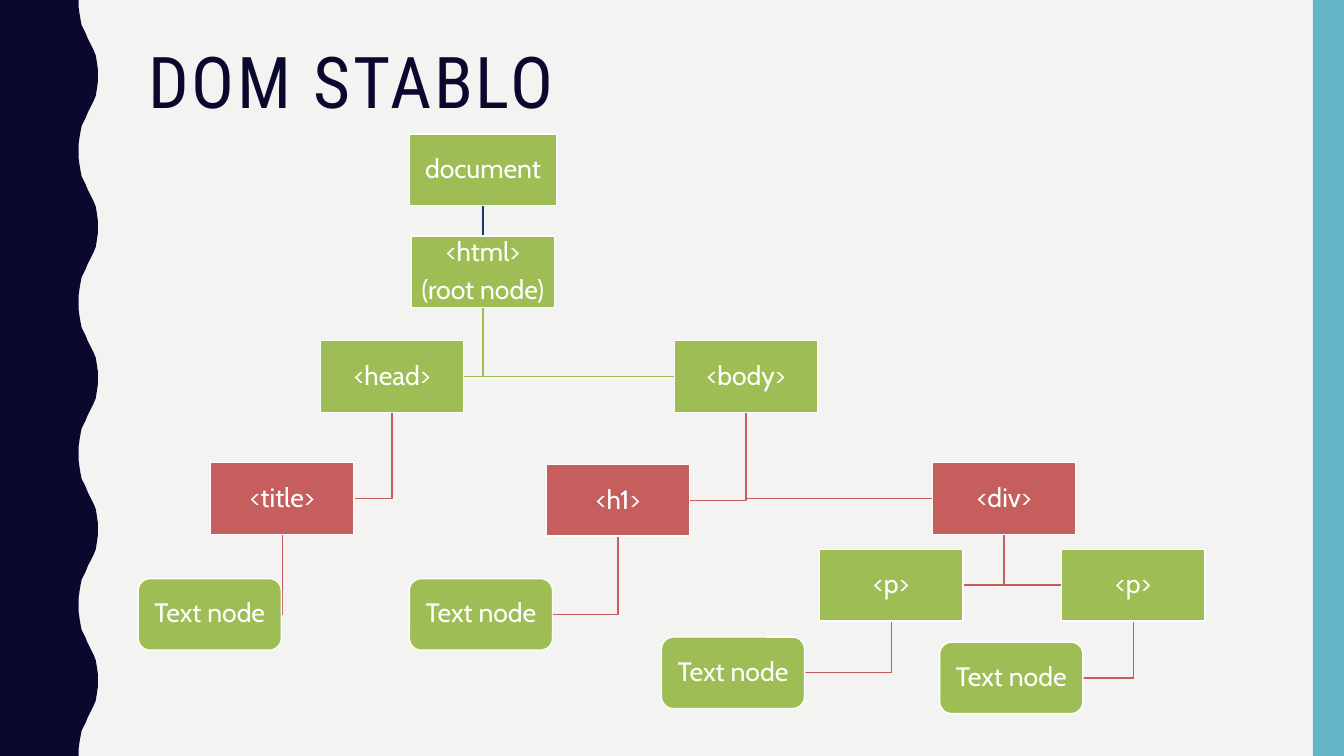
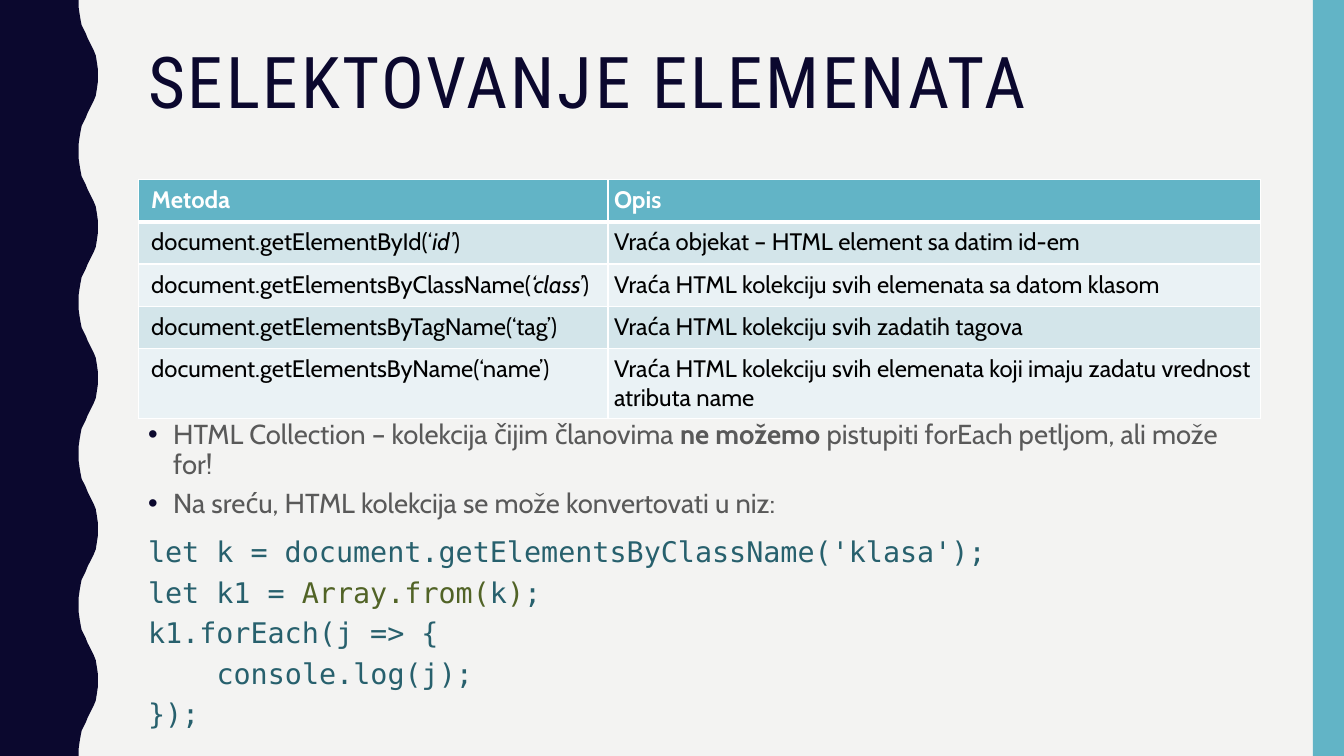
from lxml import etree
from pptx import Presentation
from pptx.dml.color import RGBColor
from pptx.enum.shapes import MSO_CONNECTOR, MSO_SHAPE
from pptx.enum.text import MSO_ANCHOR, MSO_AUTO_SIZE, PP_ALIGN
from pptx.oxml.ns import qn
from pptx.util import Inches, Pt

RECTANGLE = MSO_SHAPE.RECTANGLE
ROUNDED = MSO_SHAPE.ROUNDED_RECTANGLE
STRAIGHT = MSO_CONNECTOR.STRAIGHT
TOP = MSO_ANCHOR.TOP
MIDDLE = MSO_ANCHOR.MIDDLE
LEFT = PP_ALIGN.LEFT
CENTER = PP_ALIGN.CENTER
NO_AUTOFIT = MSO_AUTO_SIZE.NONE

BACKGROUND = "F3F3F2"
NAVY = "0B082E"
TEAL = "62B4C6"
GREEN = "9EBE55"
RED = "C65E5E"
BLUE = "1B376E"
WHITE = "FFFFFF"
BLACK = "000000"
GRAY = "595959"
CODE_TEAL = "27606D"
CODE_GREEN = "516326"
ROW_COLORS = ["EAF2F5", "D3E5EA"]

BODY_FONT = "Cabin"
CODE_FONT = "DejaVu Sans Mono"
TITLE_FONT = "Roboto Condensed"

MARGIN_LEFT = 1.37
CONTENT_WIDTH = 11.13


def paint(fill, color):
    fill.solid()
    fill.fore_color.rgb = RGBColor.from_string(color)


def write(paragraph, text, size, color, font=BODY_FONT, bold=False, italic=False, spacing=0):
    run = paragraph.add_run()
    run.text = text
    run.font.size = Pt(size)
    run.font.name = font
    run.font.bold = bold
    run.font.italic = italic
    paint(run.font.fill, color)
    if spacing:
        run.font._element.set("spc", str(spacing * 100))


presentation = Presentation()
presentation.slide_width = Inches(13.33)
presentation.slide_height = Inches(7.5)
layout = presentation.slide_layouts[5]
paint(layout.background.fill, BACKGROUND)
for placeholder in list(layout.placeholders)[1:]:
    layout.shapes._spTree.remove(placeholder._element)

slides = []
for title_text in ["DOM STABLO", "SELEKTOVANJE ELEMENATA"]:
    slide = presentation.slides.add_slide(layout)
    title = slide.shapes.title
    title.left, title.top = Inches(MARGIN_LEFT), Inches(0.41)
    title.width, title.height = Inches(CONTENT_WIDTH), Inches(1.63)
    title.text_frame.auto_size = NO_AUTOFIT
    title.text_frame.vertical_anchor = TOP
    paragraph = title.text_frame.paragraphs[0]
    paragraph.alignment = LEFT
    paragraph.line_spacing = 0.9
    write(paragraph, title_text, size=51, color=NAVY, font=TITLE_FONT, spacing=2)
    slides.append(slide)
tree_slide, methods_slide = slides

WAVE_PERIOD = 1.5
HALF_WAVE = [
    (0.78, 0), (0.78, 0.07), (0.79, 0.14), (0.8, 0.2), (0.81, 0.25),
    (0.83, 0.29), (0.85, 0.33), (0.87, 0.38), (0.89, 0.42), (0.91, 0.46),
    (0.93, 0.5), (0.95, 0.55), (0.96, 0.61), (0.97, 0.68), (0.97, 0.75),
]
wave = HALF_WAVE + [(x, WAVE_PERIOD - y) for x, y in reversed(HALF_WAVE[:-1])]
outline = [
    (Inches(x), Inches(y + period * WAVE_PERIOD))
    for period in range(5)
    for x, y in wave
]
builder = tree_slide.shapes.build_freeform(0, 0)
builder.add_line_segments(outline + [(0, Inches(7.5))], close=True)
wave_band = builder.convert_to_shape()
right_band = tree_slide.shapes.add_shape(
    RECTANGLE, Inches(13.02), 0, Inches(0.31), Inches(7.5)
)
for band, color in [(wave_band, NAVY), (right_band, TEAL)]:
    band.shadow.inherit = False
    paint(band.fill, color)
    band.line.fill.background()
    layout.shapes._spTree.append(band._element)

NODE_WIDTH = 1.42
NODE_HEIGHT = 0.71
nodes = {
    "document": (4.08, 1.33, RECTANGLE, GREEN, ["document"]),
    "html": (4.08, 2.34, RECTANGLE, GREEN, ["<html>", "(root node)"]),
    "head": (3.18, 3.38, RECTANGLE, GREEN, ["<head>"]),
    "body": (6.69, 3.38, RECTANGLE, GREEN, ["<body>"]),
    "title": (2.09, 4.59, RECTANGLE, RED, ["<title>"]),
    "h1": (5.42, 4.61, RECTANGLE, RED, ["<h1>"]),
    "div": (9.25, 4.59, RECTANGLE, RED, ["<div>"]),
    "left p": (8.13, 5.45, RECTANGLE, GREEN, ["<p>"]),
    "right p": (10.53, 5.45, RECTANGLE, GREEN, ["<p>"]),
    "title text": (1.37, 5.74, ROUNDED, GREEN, ["Text node"]),
    "h1 text": (4.06, 5.74, ROUNDED, GREEN, ["Text node"]),
    "left p text": (6.56, 6.32, ROUNDED, GREEN, ["Text node"]),
    "right p text": (9.32, 6.37, ROUNDED, GREEN, ["Text node"]),
}
links = [
    ("html", "head", GREEN),
    ("html", "body", GREEN),
    ("head", "title", RED),
    ("body", "h1", RED),
    ("body", "div", RED),
    ("div", "left p", RED),
    ("div", "right p", RED),
    ("title", "title text", RED),
    ("h1", "h1 text", RED),
    ("left p", "left p text", RED),
    ("right p", "right p text", RED),
]

for parent, child, color in links:
    parent_left, parent_top = nodes[parent][:2]
    child_left, child_top = nodes[child][:2]
    trunk_x = parent_left + NODE_WIDTH / 2
    branch_y = child_top + NODE_HEIGHT / 2
    child_edge = child_left if child_left > trunk_x else child_left + NODE_WIDTH
    builder = tree_slide.shapes.build_freeform(
        Inches(trunk_x), Inches(parent_top + NODE_HEIGHT)
    )
    builder.add_line_segments(
        [(Inches(trunk_x), Inches(branch_y)), (Inches(child_edge), Inches(branch_y))],
        close=False,
    )
    elbow = builder.convert_to_shape()
    elbow.shadow.inherit = False
    elbow.fill.background()
    paint(elbow.line.fill, color)
    elbow.line.width = Pt(1)

root_x = Inches(nodes["html"][0] + NODE_WIDTH / 2)
root_link = tree_slide.shapes.add_connector(
    STRAIGHT, root_x, Inches(nodes["document"][1] + NODE_HEIGHT),
    root_x, Inches(nodes["html"][1]),
)
paint(root_link.line.fill, BLUE)
root_link.line.width = Pt(1)
etree.SubElement(root_link._element.spPr, qn("a:effectLst"))

for name, (left, top, geometry, color, lines) in nodes.items():
    extra = 0.02 if name == "document" else 0
    node = tree_slide.shapes.add_shape(
        geometry, Inches(left - extra), Inches(top),
        Inches(NODE_WIDTH + 2 * extra), Inches(NODE_HEIGHT),
    )
    node.shadow.inherit = False
    paint(node.fill, color)
    paint(node.line.fill, WHITE)
    node.line.width = Pt(1)
    frame = node.text_frame
    frame.word_wrap = True
    frame.vertical_anchor = MIDDLE
    frame.margin_left = frame.margin_right = Inches(0.01)
    frame.margin_top = frame.margin_bottom = Inches(0.01)
    for index, line in enumerate(lines):
        paragraph = frame.add_paragraph() if index else frame.paragraphs[0]
        paragraph.alignment = CENTER
        paragraph.line_spacing = 0.9
        paragraph.space_after = Pt(6.65)
        write(paragraph, line, size=19, color=WHITE)

methods = [
    ("Metoda", "", "", "Opis"),
    ("document.getElementById(‘", "id’", ")",
     "Vraća objekat – HTML element sa datim id-em"),
    ("document.getElementsByClassName(", "‘class’", ")",
     "Vraća HTML kolekciju svih elemenata sa datom klasom"),
    ("document.getElementsByTagName(‘tag’)", "", "",
     "Vraća HTML kolekciju svih zadatih tagova"),
    ("document.getElementsByName(‘name’)", "", "",
     "Vraća HTML kolekciju svih elemenata koji imaju zadatu vrednost atributa name"),
]
row_heights = [0.42, 0.42, 0.42, 0.42, 0.69]
table = methods_slide.shapes.add_table(
    len(methods), 2, Inches(MARGIN_LEFT), Inches(1.78),
    Inches(CONTENT_WIDTH), Inches(sum(row_heights)),
).table
for column, width in zip(table.columns, [4.66, 6.47]):
    column.width = Inches(width)
for row, height in zip(table.rows, row_heights):
    row.height = Inches(height)

for row_index, (opening, argument, closing, description) in enumerate(methods):
    header = row_index == 0
    for column_index, runs in enumerate([[opening, argument, closing], [description]]):
        cell = table.cell(row_index, column_index)
        cell.margin_left = Inches(0.06 if column_index else 0.13)
        cell.margin_right = cell.margin_top = cell.margin_bottom = Inches(0.06)
        paint(cell.fill, TEAL if header else ROW_COLORS[row_index % 2])
        for run_index, text in enumerate(runs):
            if text:
                write(cell.text_frame.paragraphs[0], text, size=17,
                      color=WHITE if header else BLACK, bold=header, italic=run_index == 1)
        properties = cell._tc.get_or_add_tcPr()
        for side_index, side in enumerate(["lnL", "lnR", "lnT", "lnB"]):
            thick = (row_index, side) in [(0, "lnB"), (1, "lnT")]
            border = etree.Element(qn(f"a:{side}"), w=str(Pt(3 if thick else 1)))
            border_fill = etree.SubElement(border, qn("a:solidFill"))
            etree.SubElement(border_fill, qn("a:srgbClr"), val=WHITE)
            properties.insert(side_index, border)

note = {"size": 19.6, "color": GRAY}
strong = {**note, "bold": True}
code = {"size": 20.3, "color": CODE_TEAL, "font": CODE_FONT}
code_call = {**code, "color": CODE_GREEN}
BULLET_INDENT = 0.25
CODE_INDENT = 0.68
body_paragraphs = [
    (BULLET_INDENT, True, 0, [
        ("HTML Collection – kolekcija čijim članovima ", note),
        ("ne možemo ", strong),
        ("pistupiti forEach petljom, ali može for!", note),
    ]),
    (BULLET_INDENT, True, 6, [("Na sreću, HTML kolekcija se može konvertovati u niz:", note)]),
    (0, False, 0, [("let k = document.getElementsByClassName('klasa');", code)]),
    (0, False, 0, [
        ("let k1 = ", code), ("Array.from(", code_call), ("k", code),
        (")", code_call), (";", code),
    ]),
    (0, False, 0, [("k1.forEach(j => {", code)]),
    (CODE_INDENT, False, 0, [("console.log(j);", code)]),
    (0, False, 0, [("});", code)]),
]
body = methods_slide.shapes.add_textbox(
    Inches(MARGIN_LEFT), Inches(4.13), Inches(CONTENT_WIDTH), Inches(3.37)
)
body.text_frame.word_wrap = True
for index, (indent, bulleted, space_after, runs) in enumerate(body_paragraphs):
    paragraph = body.text_frame.add_paragraph() if index else body.text_frame.paragraphs[0]
    paragraph.line_spacing = 0.9
    paragraph.space_before = Pt(7)
    paragraph.space_after = Pt(space_after)
    properties = paragraph._p.get_or_add_pPr()
    properties.set("marL", str(Inches(indent)))
    if bulleted:
        properties.set("indent", str(-Inches(indent)))
        bullet_color = etree.SubElement(properties, qn("a:buClr"))
        etree.SubElement(bullet_color, qn("a:srgbClr"), val=NAVY)
        etree.SubElement(properties, qn("a:buFont"), typeface="Arial")
        etree.SubElement(properties, qn("a:buChar"), char="•")
    for text, text_format in runs:
        write(paragraph, text, **text_format)

presentation.save("out.pptx")
